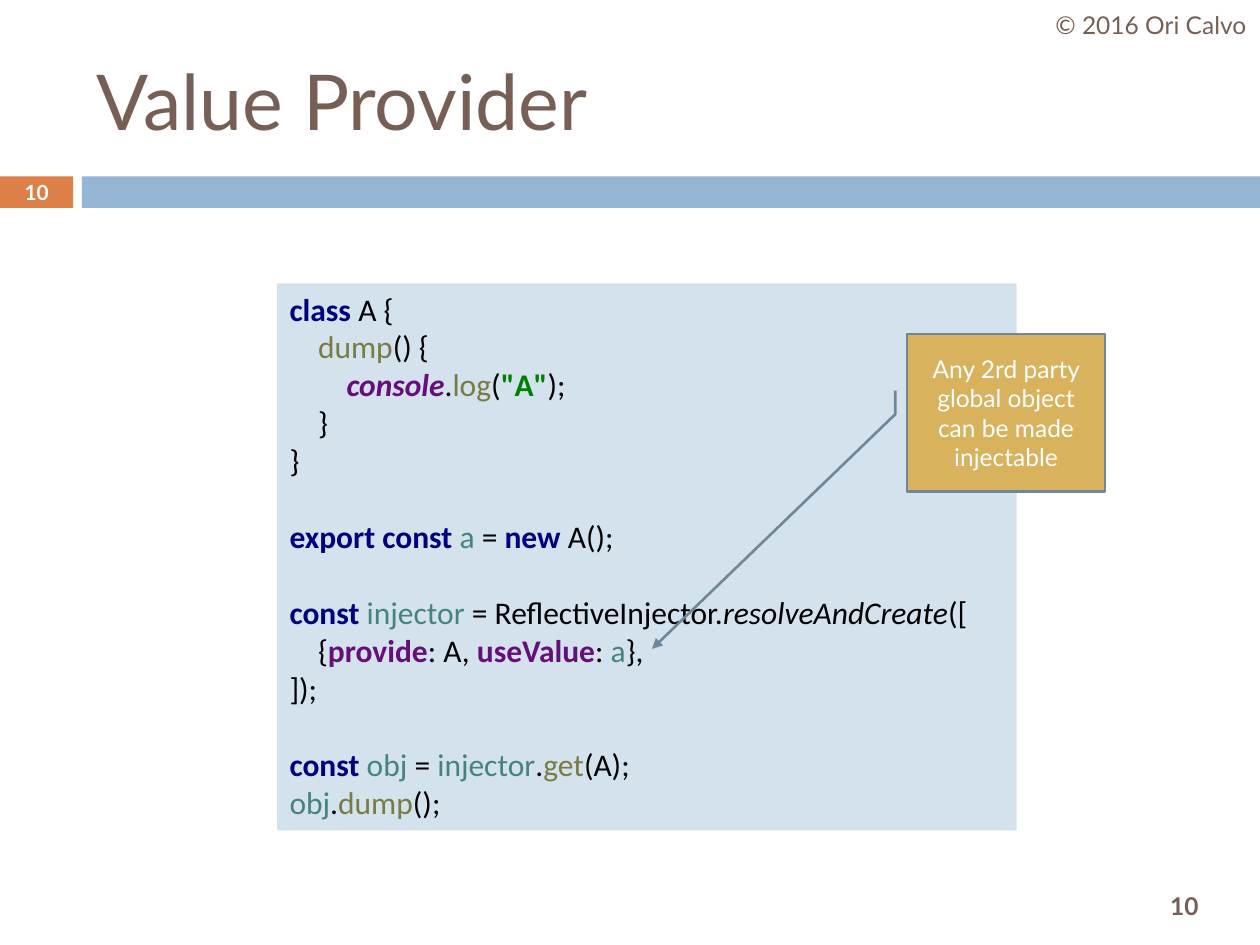
from lxml import etree
from pptx import Presentation
from pptx.dml.color import RGBColor
from pptx.enum.shapes import MSO_SHAPE
from pptx.enum.text import MSO_ANCHOR, PP_ALIGN
from pptx.oxml.ns import qn
from pptx.util import Inches, Pt

RECT = MSO_SHAPE.RECTANGLE
CALLOUT = MSO_SHAPE.LINE_CALLOUT_2
TOP, MIDDLE = MSO_ANCHOR.TOP, MSO_ANCHOR.MIDDLE
LEFT, CENTER = PP_ALIGN.LEFT, PP_ALIGN.CENTER

WHITE = RGBColor(0xFF, 0xFF, 0xFF)
BLACK = RGBColor(0x00, 0x00, 0x00)
BROWN = RGBColor(0x77, 0x5F, 0x55)
ORANGE = RGBColor(0xDD, 0x80, 0x47)
BLUE = RGBColor(0x94, 0xB6, 0xD2)
PALE = RGBColor(0xD4, 0xE2, 0xED)
GOLD = RGBColor(0xD8, 0xB2, 0x5C)
SLATE = RGBColor(0x6D, 0x87, 0x9B)
NAVY = RGBColor(0x00, 0x00, 0x80)
OLIVE = RGBColor(0x7A, 0x7A, 0x43)
PURPLE = RGBColor(0x66, 0x0E, 0x7A)
GREEN = RGBColor(0x00, 0x80, 0x00)
TEAL = RGBColor(0x45, 0x83, 0x83)

deck = Presentation()
deck.slide_width, deck.slide_height = Inches(10), Inches(7.5)
COL = deck.slide_width / 100
ROW = deck.slide_height / 75
slide = deck.slides.add_slide(deck.slide_layouts[6])


def add_box(x, y, w, h, fill=None, kind=RECT, anchor=MIDDLE):
    place = [round(v) for v in (x * COL, y * ROW, w * COL, h * ROW)]
    if fill is None:
        box = slide.shapes.add_textbox(*place)
    else:
        box = slide.shapes.add_shape(kind, *place)
        box.shadow.inherit = False
        box.fill.solid()
        box.fill.fore_color.rgb = fill
        box.line.fill.background()
    box.text_frame.word_wrap = True
    box.text_frame.vertical_anchor = anchor
    return box


def add_run(para, text, size, color, bold=False, italic=False, face="Lato"):
    font_run = para.add_run()
    font_run.text = text
    font = font_run.font
    font.name, font.size = face, Pt(size)
    font.bold, font.italic = bold, italic
    font.color.rgb = color


badge = add_box(0, 14, 5.8, 2.5, ORANGE)
band = add_box(6.5, 14, 93.5, 2.5, BLUE)
foot = add_box(89.4, 69.8, 9.2, 4.2)
title = add_box(6.7, 2.5, 89.2, 10.8)
credit = add_box(82.7, 0, 17.3, 4)
number = add_box(0, 13.9, 5.8, 2.7)
code = add_box(22, 22.5, 58.7, 43.4, PALE, anchor=TOP)
note = add_box(72, 26.5, 15.7, 12.5, GOLD, CALLOUT)

labels = [
    (foot, "10", 14, BROWN, True, CENTER),
    (title, "Value Provider", 44, BROWN, False, LEFT),
    (credit, "© 2016 Ori Calvo", 14, BROWN, False, CENTER),
    (number, "10", 11.9, WHITE, True, CENTER),
    (note, "Any 2rd party global object can be made injectable",
     14, WHITE, False, CENTER),
]
for box, text, size, color, bold, align in labels:
    para = box.text_frame.paragraphs[0]
    para.alignment = align
    add_run(para, text, size, color, bold)

for i, value in enumerate((0.36, -0.06, 0.51, -0.06, 2, -1.29)):
    note.adjustments[i] = value
note.line.color.rgb = SLATE
note.line.width = Pt(1.5)
etree.SubElement(note.line._get_or_add_ln(), qn("a:tailEnd"), type="triangle")

STYLES = {
    "key": (NAVY, True, False),
    "text": (BLACK, False, False),
    "call": (OLIVE, False, False),
    "name": (TEAL, False, False),
    "prop": (PURPLE, True, False),
    "host": (PURPLE, True, True),
    "quote": (GREEN, True, False),
    "fixed": (BLACK, False, True),
}
INDENT = 2.26 * COL
GAP = Pt(22)

lines = [
    (0, False, [("key", "class "), ("text", "A {")]),
    (1, False, [("call", "dump"), ("text", "() {")]),
    (2, False, [("host", "console"), ("text", "."), ("call", "log"),
                ("text", "("), ("quote", '"A"'), ("text", ");")]),
    (1, False, [("text", "}")]),
    (0, False, [("text", "}")]),
    (0, True, [("key", "export const "), ("name", "a "), ("text", "= "),
               ("key", "new "), ("text", "A();")]),
    (0, True, [("key", "const "), ("name", "injector "),
               ("text", "= ReflectiveInjector."),
               ("fixed", "resolveAndCreate"), ("text", "([")]),
    (1, False, [("text", "{"), ("prop", "provide"), ("text", ": A, "),
                ("prop", "useValue"), ("text", ": "), ("name", "a"),
                ("text", "},")]),
    (0, False, [("text", "]);")]),
    (0, True, [("key", "const "), ("name", "obj "), ("text", "= "),
               ("name", "injector"), ("text", "."), ("call", "get"),
               ("text", "(A);")]),
    (0, False, [("name", "obj"), ("text", "."), ("call", "dump"),
                ("text", "();")]),
]
frame = code.text_frame
for i, (depth, gap, parts) in enumerate(lines):
    para = frame.add_paragraph() if i else frame.paragraphs[0]
    para.alignment = LEFT
    para.space_before = GAP if gap else Pt(0)
    para._p.get_or_add_pPr().set("marL", str(round(depth * INDENT)))
    for style, text in parts:
        add_run(para, text, 18, *STYLES[style], face="Calibri")

deck.save("out.pptx")
